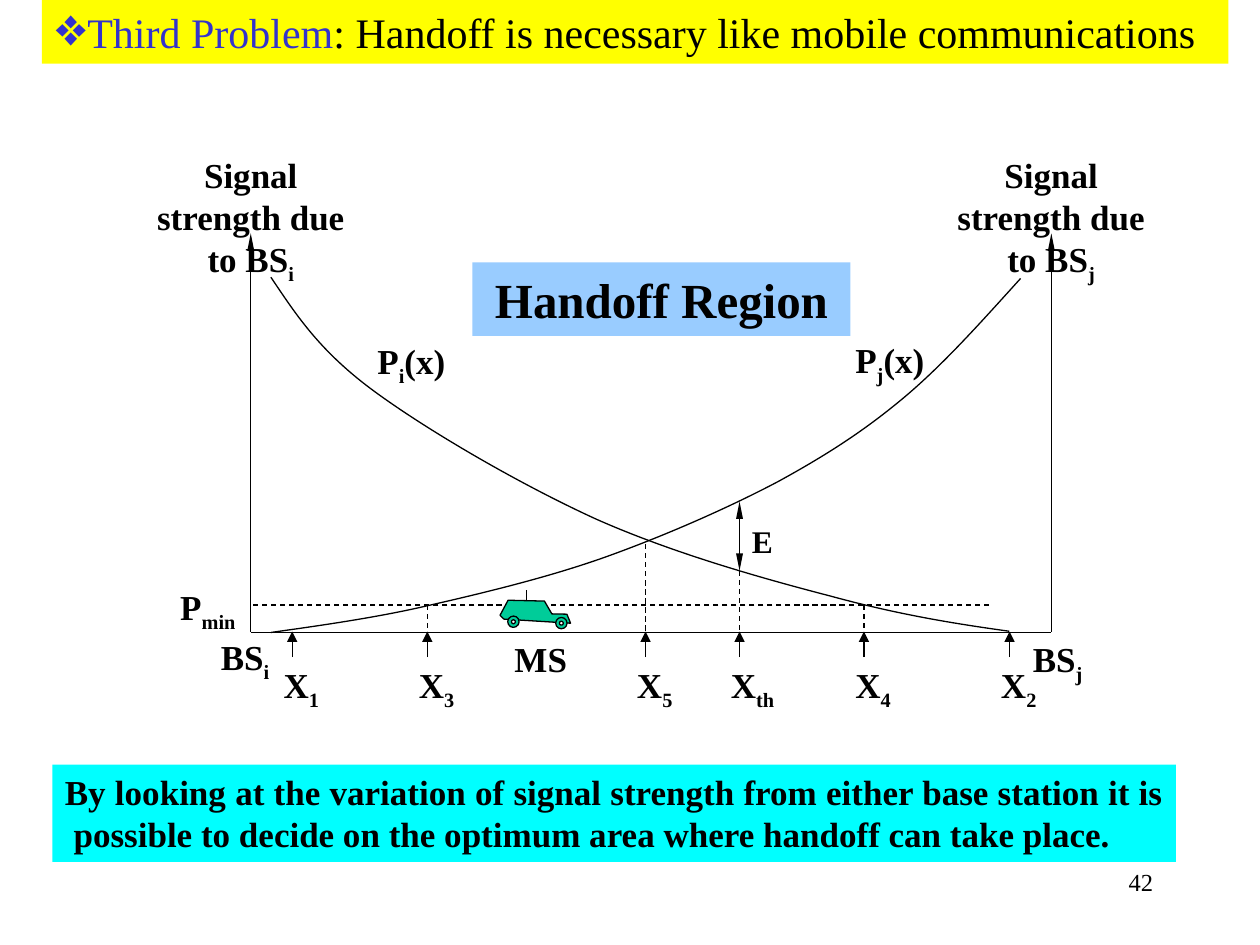
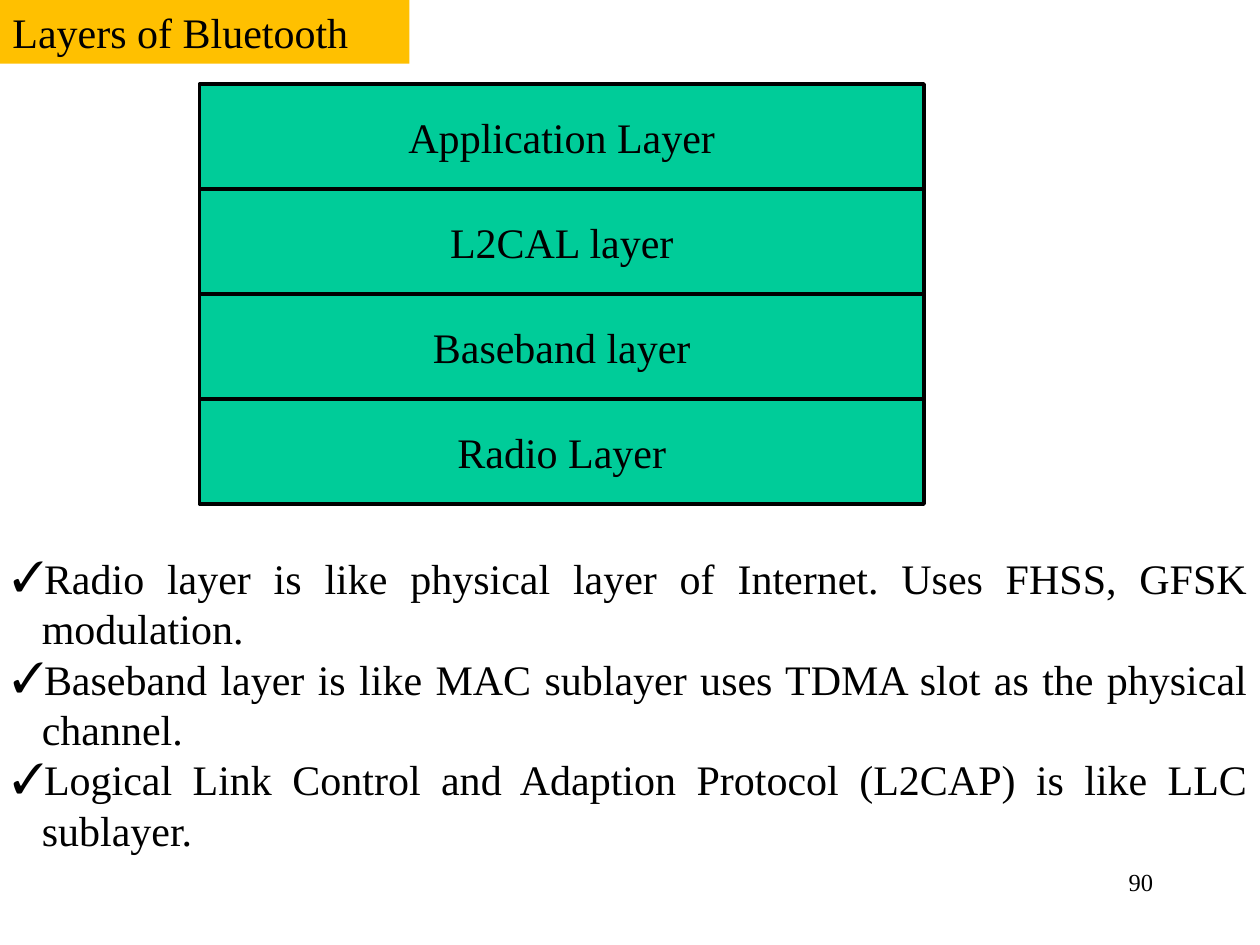
from dataclasses import dataclass
from typing import Optional, Sequence

from lxml.etree import SubElement
from pptx import Presentation
from pptx.dml.color import RGBColor
from pptx.enum.dml import MSO_LINE
from pptx.enum.shapes import MSO_CONNECTOR, MSO_SHAPE
from pptx.enum.text import MSO_ANCHOR, PP_ALIGN
from pptx.oxml.ns import qn
from pptx.util import Pt

BLACK = RGBColor(0x00, 0x00, 0x00)
WHITE = RGBColor(0xFF, 0xFF, 0xFF)
GREEN = RGBColor(0x00, 0xCC, 0x99)
BLUE = RGBColor(0x33, 0x33, 0xCC)
PALE_BLUE = RGBColor(0x99, 0xCC, 0xFF)
CYAN = RGBColor(0x00, 0xFF, 0xFF)
YELLOW = RGBColor(0xFF, 0xFF, 0x00)
AMBER = RGBColor(0xFF, 0xC0, 0x00)
FONT = "Times New Roman"
THIN = 0.75

LEFT_AXIS, RIGHT_AXIS = 143.3, 600.8
BASELINE, AXIS_FOOT, AXIS_TOP = 361.5, 360.9, 133.4
MINIMUM_LEVEL = 345.7
TICK_FOOT = 375.5

Point = tuple[float, float]


@dataclass(frozen=True)
class Place:
    left: float
    top: float
    width: float
    height: float

    def lengths(self) -> tuple[Pt, Pt, Pt, Pt]:
        return Pt(self.left), Pt(self.top), Pt(self.width), Pt(self.height)


@dataclass(frozen=True)
class Label:
    text: str
    place: Place
    align: PP_ALIGN = PP_ALIGN.LEFT
    size: float = 20


@dataclass(frozen=True)
class Marker:
    name: str
    x: float
    dash_top: Optional[float] = None
    label_width: float = 35.3


LABELS = [
    Label("BS|i|", Place(113.5, 359.6, 47.5, 31), PP_ALIGN.RIGHT),
    Label("BS|j|", Place(583.1, 360.7, 47.5, 31)),
    Label("Signal strength due to BS|i|", Place(72, 84.2, 142.6, 79.2), PP_ALIGN.CENTER),
    Label("Signal strength due to BS|j|", Place(529.3, 84.2, 142.6, 79.2), PP_ALIGN.CENTER),
    Label("E", Place(422.6, 294.5, 23.8, 28.8), size=18),
    Label("MS", Place(282, 360.7, 54, 31), PP_ALIGN.CENTER),
    Label("P|min|", Place(95.9, 331.2, 53.3, 31)),
    Label("P|i|(x)", Place(208.6, 190.5, 79.2, 31)),
    Label("P|j|(x)", Place(481.7, 190.1, 76.3, 31)),
]
MARKERS = [
    Marker("X|1|", 167),
    Marker("X|3|", 244.2, MINIMUM_LEVEL),
    Marker("X|5|", 368.9, 311),
    Marker("X|th|", 422.6, 321.1, 47.5),
    Marker("X|4|", 493.7, MINIMUM_LEVEL),
    Marker("X|2|", 576.9),
]
RISING_CURVE = [
    (583.2, 159.1), (561.6, 182.9), (540, 207.4), (517, 226.8),
    (493.9, 246.2), (472.3, 260), (445, 275), (416.2, 290.2),
    (380.2, 306), (346.3, 318.2), (311.8, 330.5), (272.2, 339.8),
    (240.5, 347), (208.8, 354.2), (169.2, 359.3), (154.8, 361.4),
]
FALLING_CURVE = [
    (154.8, 158.4), (168.5, 178.6), (181.4, 199.4), (212.4, 222.5),
    (243.4, 245.5), (296.6, 276.5), (340.6, 296.6), (384.5, 316.1),
    (435.6, 330.5), (474.5, 340.6), (514.1, 351.4), (545.8, 356.4),
    (576.7, 360.7),
]
CAR_BODY = [
    (285.8, 352.1), (290.2, 343.4), (311, 343.4), (315.4, 350.6),
    (324, 350.6), (326.2, 355.7), (288, 354.2),
]
CAR_TILT = 1.3
WHEEL_CENTRES = [(293.4, 355.3), (320.8, 356.1)]
LAYERS = ["Application Layer", "L2CAL layer", "Baseband layer", "Radio Layer"]
LAYER_HEIGHT = 60
LAYER_NOTES = [
    "Radio layer is like physical layer of Internet. Uses FHSS, GFSK modulation.",
    "Baseband layer is like MAC sublayer uses TDMA slot as the physical channel.",
    "Logical Link Control and Adaption Protocol (L2CAP) is like LLC sublayer.",
]


def paint(shape, fill: Optional[RGBColor], line_width: Optional[float]) -> None:
    shape.shadow.inherit = False
    if fill is None:
        shape.fill.background()
    else:
        shape.fill.solid()
        shape.fill.fore_color.rgb = fill
    if line_width is None:
        shape.line.fill.background()
    else:
        shape.line.color.rgb = BLACK
        shape.line.width = Pt(line_width)


def set_indent(para, hang: float, bullet: str) -> None:
    properties = para._p.get_or_add_pPr()
    properties.set("marL", str(Pt(hang)))
    properties.set("indent", str(-Pt(hang)))
    if bullet:
        SubElement(properties, qn("a:buFont")).set("typeface", FONT)
        SubElement(properties, qn("a:buChar")).set("char", bullet)


def add_text(page, text: str, place: Place, *, size: float = 24, bold: bool = False,
             align: PP_ALIGN = PP_ALIGN.LEFT, anchor: MSO_ANCHOR = MSO_ANCHOR.TOP,
             fill: Optional[RGBColor] = None, line_width: Optional[float] = None,
             accent: Optional[RGBColor] = None, bullet: str = "", hang: float = 0) -> None:
    if fill is None:
        box = page.shapes.add_textbox(*place.lengths())
    else:
        box = page.shapes.add_shape(MSO_SHAPE.RECTANGLE, *place.lengths())
        paint(box, fill, line_width)
    frame = box.text_frame
    frame.word_wrap = True
    frame.vertical_anchor = anchor
    for index, line in enumerate(text.split("\n")):
        para = frame.add_paragraph() if index else frame.paragraphs[0]
        para.alignment = align
        set_indent(para, hang, bullet)
        for position, words in enumerate(line.split("|")):
            if not words:
                continue
            span = para.add_run()
            span.text = words
            font = span.font
            font.name, font.size, font.bold = FONT, Pt(size), bold
            marked = position % 2 == 1
            font.color.rgb = accent if marked and accent else BLACK
            if marked and not accent:
                span._r.get_or_add_rPr().set("baseline", "-25000")


def add_line(page, start: Point, end: Point, *, dashed: bool = False,
             arrows: Sequence[str] = (), slender: bool = False) -> None:
    line = page.shapes.add_connector(
        MSO_CONNECTOR.STRAIGHT, *(Pt(value) for value in (*start, *end)))
    line.line.color.rgb = BLACK
    line.line.width = Pt(THIN)
    if dashed:
        line.line.dash_style = MSO_LINE.DASH
    for arrow in arrows:
        arrowhead = SubElement(line.line._get_or_add_ln(), qn(f"a:{arrow}"))
        arrowhead.set("type", "triangle")
        if slender:
            arrowhead.set("w", "sm")
            arrowhead.set("len", "lg")
    SubElement(line._element.spPr, qn("a:effectLst"))


def add_outline(page, points: Sequence[Point], *, fill: Optional[RGBColor] = None,
                close: bool = False, tilt: float = 0):
    corners = [(Pt(x), Pt(y)) for x, y in points]
    builder = page.shapes.build_freeform(*corners[0])
    builder.add_line_segments(corners[1:], close=close)
    outline = builder.convert_to_shape()
    paint(outline, fill, THIN)
    outline.rotation = tilt
    return outline


def add_curve(page, controls: Sequence[Point]) -> None:
    outline = add_outline(page, controls)
    steps = list(outline._element.iter(qn("a:lnTo")))
    track = steps[0].getparent()
    for first in range(0, len(steps), 3):
        bend = SubElement(track, qn("a:cubicBezTo"))
        for step in steps[first:first + 3]:
            bend.append(step[0])
            track.remove(step)


def add_disc(page, centre: Point, diameter: float, fill: RGBColor) -> None:
    place = Place(centre[0] - diameter / 2, centre[1] - diameter / 2, diameter, diameter)
    disc = page.shapes.add_shape(MSO_SHAPE.OVAL, *place.lengths())
    paint(disc, fill, THIN)
    disc.rotation = CAR_TILT


def add_car(page) -> None:
    add_outline(page, CAR_BODY, fill=GREEN, close=True, tilt=CAR_TILT)
    for centre in WHEEL_CENTRES:
        add_disc(page, centre, 6.5, GREEN)
        add_disc(page, centre, 2.2, WHITE)
    add_line(page, (301, 343.4), (301, 337))


def add_marker(page, marker: Marker) -> None:
    if marker.dash_top is not None:
        add_line(page, (marker.x, marker.dash_top), (marker.x, AXIS_FOOT), dashed=True)
    add_line(page, (marker.x, TICK_FOOT), (marker.x, AXIS_FOOT), arrows=["tailEnd"])
    add_text(page, marker.name, Place(marker.x - 12, TICK_FOOT, marker.label_width, 31),
             size=20, bold=True)


def add_page(deck, number: int):
    page = deck.slides.add_slide(deck.slide_layouts[6])
    add_text(page, str(number), Place(516, 492, 150, 36), size=14, align=PP_ALIGN.RIGHT)
    return page


def build_handoff(deck) -> None:
    page = add_page(deck, 42)
    add_text(page, "Handoff Region", Place(270, 150, 216, 42), size=28, bold=True,
             align=PP_ALIGN.CENTER, anchor=MSO_ANCHOR.MIDDLE, fill=PALE_BLUE)
    add_line(page, (LEFT_AXIS, BASELINE), (RIGHT_AXIS, BASELINE))
    for axis in (LEFT_AXIS, RIGHT_AXIS):
        add_line(page, (axis, AXIS_FOOT), (axis, AXIS_TOP), arrows=["tailEnd"], slender=True)
    for curve in (RISING_CURVE, FALLING_CURVE):
        add_curve(page, curve)
    add_line(page, (422.6, 326.2), (422.6, 286.6), arrows=["headEnd", "tailEnd"], slender=True)
    add_line(page, (565.2, MINIMUM_LEVEL), (LEFT_AXIS, MINIMUM_LEVEL), dashed=True)
    for marker in MARKERS:
        add_marker(page, marker)
    add_car(page)
    for label in LABELS:
        add_text(page, label.text, label.place, size=label.size, bold=True, align=label.align)
    add_text(page, "By looking at the variation of signal strength from either base station "
             "it is possible to decide on the optimum area where handoff can take place.",
             Place(30, 437, 642, 55.5), size=20, bold=True, align=PP_ALIGN.JUSTIFY,
             fill=CYAN, hang=5)
    add_text(page, "|Third Problem|: Handoff is necessary like mobile communications",
             Place(24, 0, 678, 36.4), align=PP_ALIGN.JUSTIFY, fill=YELLOW,
             accent=BLUE, bullet="❖")


def build_layers(deck) -> None:
    page = add_page(deck, 90)
    for row, layer in reversed(list(enumerate(LAYERS))):
        add_text(page, layer, Place(114, 48 + row * LAYER_HEIGHT, 414, LAYER_HEIGHT),
                 align=PP_ALIGN.CENTER, anchor=MSO_ANCHOR.MIDDLE, fill=GREEN, line_width=2)
    add_text(page, "Layers of Bluetooth", Place(0, 0, 234, 36.4), fill=AMBER)
    add_text(page, "\n".join(LAYER_NOTES), Place(0, 312, 720, 181.4),
             align=PP_ALIGN.JUSTIFY, bullet="✓", hang=16.8)


def main() -> None:
    deck = Presentation()
    deck.slide_width, deck.slide_height = Pt(720), Pt(540)
    build_handoff(deck)
    build_layers(deck)
    deck.save("out.pptx")


if __name__ == "__main__":
    main()
